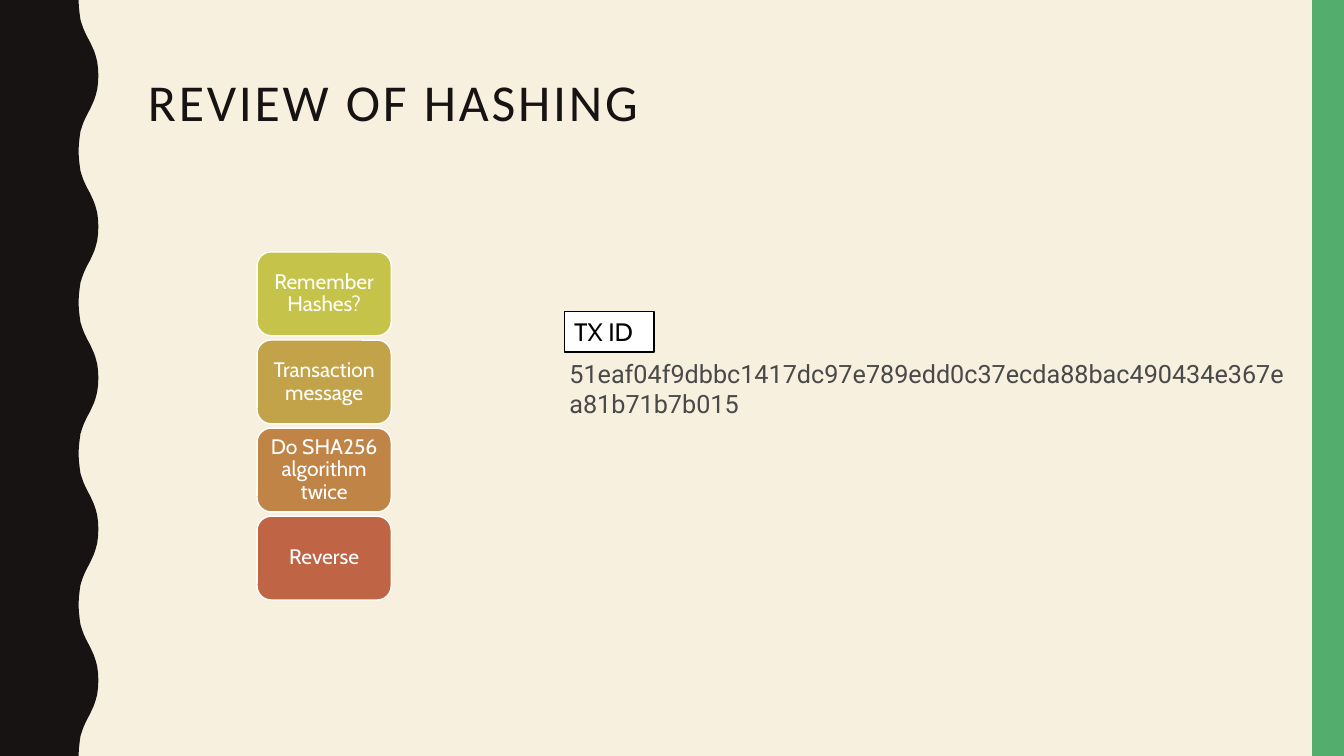
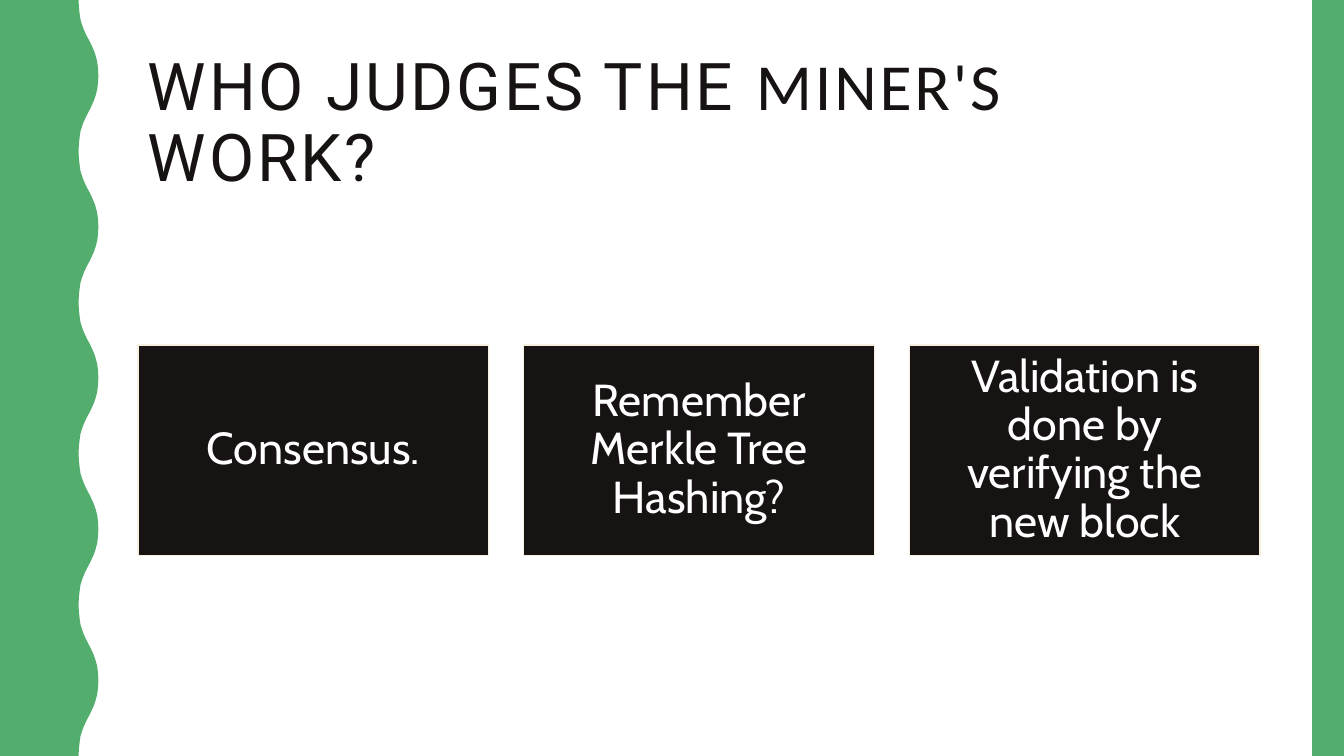
import pptx
import pptx.util
import pptx.dml.color
import pptx.enum.shapes
import pptx.enum.text

Cm = pptx.util.Cm
Pt = pptx.util.Pt
SHAPE = pptx.enum.shapes.MSO_SHAPE
ANCHOR = pptx.enum.text.MSO_ANCHOR
ALIGN = pptx.enum.text.PP_ALIGN

INK, GREEN, CREAM, WHITE, BLACK, GREY = (
    "171312", "53AE6E", "F7F0DF", "FFFFFF", "000000", "494949")
HEAD, BODY, DATA = "Calibri", "Cabin", "Roboto"
WIDTH, HEIGHT = 33.87, 19.05
BAND = 0.8
MARGIN = 3.48

WAVE_PERIOD = 3.81
WAVE_COUNT = 5
HALF_WAVE = [(1.98, 0), (1.99, 0.19), (2.01, 0.36), (2.03, 0.5), (2.07, 0.63),
             (2.11, 0.74), (2.16, 0.85), (2.21, 0.95), (2.27, 1.06),
             (2.32, 1.17), (2.37, 1.28), (2.41, 1.4), (2.45, 1.55),
             (2.47, 1.71), (2.48, 1.9)]

HASH_TITLE = [("REVIEW OF HASHING", HEAD)]
STEPS = [("Remember Hashes?", "C5C34A"),
         ("Transaction message", "C3A349"),
         ("Do SHA256 algorithm twice", "C18447"),
         ("Reverse", "BF6546")]
TX_LABEL = "TX ID"
TX_HASH = "51eaf04f9dbbc1417dc97e789edd0c37ecda88bac490434e367ea81b71b7b015"

JUDGE_TITLE = [("WHO JUDGES THE ", DATA), ("MINER'S", HEAD), (" WORK?", DATA)]
CARDS = ["Consensus.",
         "Remember Merkle Tree Hashing?",
         "Validation is done by verifying the new block"]


def rgb(color):
    return pptx.dml.color.RGBColor.from_string(color)


def paint(sp, fill, line=None):
    sp.shadow.inherit = False
    sp.fill.solid()
    sp.fill.fore_color.rgb = rgb(fill)
    if line:
        sp.line.color.rgb = rgb(line)
        sp.line.width = Pt(1)
    else:
        sp.line.fill.background()


def add_box(s, kind, box, fill, line=None):
    sp = s.shapes.add_shape(kind, *map(Cm, box))
    paint(sp, fill, line)
    return sp


def write(sp, runs, size, color, align=ALIGN.LEFT, anchor=ANCHOR.TOP,
          spacing=1.0, inset=(0.25, 0.13), tracking=0):
    tf = sp.text_frame
    tf.word_wrap = True
    tf.vertical_anchor = anchor
    tf.margin_left = tf.margin_right = Cm(inset[0])
    tf.margin_top = tf.margin_bottom = Cm(inset[1])
    p = tf.paragraphs[0]
    p.alignment = align
    p.line_spacing = spacing
    for text, font in runs:
        r = p.add_run()
        r.text = text
        r.font.name = font
        r.font.size = Pt(size)
        r.font.color.rgb = rgb(color)
        if tracking:
            r.font._element.set("spc", str(tracking * 100))


def write_centred(sp, text, size, inset):
    write(sp, [(text, BODY)], size, WHITE, ALIGN.CENTER, ANCHOR.MIDDLE, 0.9, inset)


def add_wave(s, color):
    mirrored = [(x, WAVE_PERIOD - y) for x, y in HALF_WAVE[-2::-1]]
    period = HALF_WAVE + mirrored
    edge = [(x, y + i * WAVE_PERIOD) for i in range(WAVE_COUNT) for x, y in period]
    builder = s.shapes.build_freeform(0, 0)
    builder.add_line_segments([(Cm(x), Cm(y)) for x, y in edge + [(0, HEIGHT)]])
    paint(builder.convert_to_shape(), color)


def add_slide(prs, background, wave, title, title_box, size, anchor):
    s = prs.slides.add_slide(prs.slide_layouts[6])
    s.background.fill.solid()
    s.background.fill.fore_color.rgb = rgb(background)
    add_wave(s, wave)
    add_box(s, SHAPE.RECTANGLE, (WIDTH - BAND, 0, BAND, HEIGHT), GREEN)
    sp = s.shapes.add_textbox(*map(Cm, title_box))
    write(sp, title, size, INK, anchor=anchor, spacing=0.9, tracking=2)
    return s


def build_hashing(prs):
    s = add_slide(prs, CREAM, INK, HASH_TITLE, (MARGIN, 1.8, 17.42, 4.55),
                  37, ANCHOR.TOP)
    left, top, width, height, gap = 6.48, 6.35, 3.38, 2.11, 0.11
    for i, (text, color) in enumerate(STEPS):
        box = (left, top + i * (height + gap), width, height)
        sp = add_box(s, SHAPE.ROUNDED_RECTANGLE, box, color, WHITE)
        write_centred(sp, text, 15, (0.15, 0.08))
    sp = s.shapes.add_textbox(Cm(14.1), Cm(8.89), Cm(18.54), Cm(1.85))
    write(sp, [(TX_HASH, DATA)], 18, GREY)
    sp = add_box(s, SHAPE.RECTANGLE, (14.22, 7.85, 2.26, 1.02), WHITE, BLACK)
    write(sp, [(TX_LABEL, BODY)], 18, BLACK)


def build_judging(prs):
    s = add_slide(prs, WHITE, GREEN, JUDGE_TITLE, (MARGIN, 1.07, 28.27, 4.14),
                  47, ANCHOR.MIDDLE)
    top, width, height, gap = 8.69, 8.84, 5.31, 0.88
    for i, text in enumerate(CARDS):
        box = (MARGIN + i * (width + gap), top, width, height)
        sp = add_box(s, SHAPE.RECTANGLE, box, INK, CREAM)
        write_centred(sp, text, 32, (0.33, 0.33))


def main():
    prs = pptx.Presentation()
    prs.slide_width, prs.slide_height = Cm(WIDTH), Cm(HEIGHT)
    build_hashing(prs)
    build_judging(prs)
    prs.save("out.pptx")


if __name__ == "__main__":
    main()
